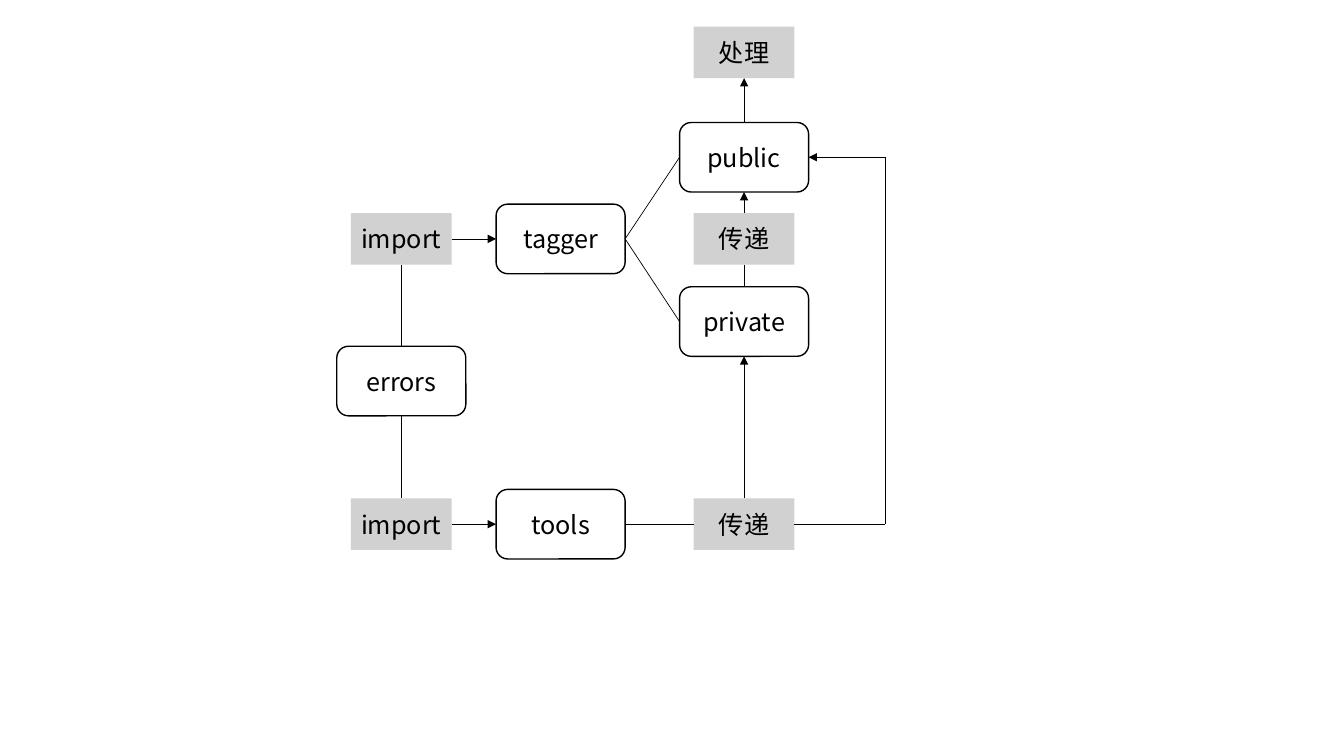
from lxml import etree
from pptx import Presentation
from pptx.dml.color import RGBColor
from pptx.enum import shapes, text
from pptx.oxml import ns
from pptx.util import Inches, Pt

BLACK = RGBColor(0x00, 0x00, 0x00)
WHITE = RGBColor(0xFF, 0xFF, 0xFF)
GRAY = RGBColor(0xA5, 0xA5, 0xA5)

TOP, LEFT, BOTTOM, RIGHT = range(4)
ERRORS_X, MODULE_X, MEMBER_X, BYPASS_X = 3.98, 5.56, 7.38, 8.78
TAGGER_Y, TOOLS_Y = 2.37, 5.2
PUBLIC_Y, PRIVATE_Y = 1.56, 3.19


class Diagram:
    font = {"name": "Noto Sans CJK SC", "size": Pt(18)}
    frame = {"word_wrap": False, "vertical_anchor": text.MSO_ANCHOR.MIDDLE}
    module_size = (1.28, 0.69)
    action_size = (1, 0.51)

    def __init__(self, slide):
        self.slide = slide

    def apply(self, target, values):
        for key, value in values.items():
            setattr(target, key, value)

    def box(self, kind, label, center, size, fill):
        (x, y), (width, height) = center, size
        box = self.slide.shapes.add_shape(
            kind, Inches(x - width / 2), Inches(y - height / 2),
            Inches(width), Inches(height))
        box.shadow.inherit = False
        box.fill.solid()
        box.fill.fore_color.rgb = fill
        self.apply(box.text_frame, self.frame)
        paragraph = box.text_frame.paragraphs[0]
        paragraph.alignment = text.PP_ALIGN.CENTER
        run = paragraph.add_run()
        run.text = label
        self.apply(run.font, self.font)
        run.font.color.rgb = BLACK
        east_asian = etree.SubElement(run.font._element, ns.qn("a:ea"))
        east_asian.set("typeface", self.font["name"])
        return box

    def module(self, label, x, y):
        box = self.box(shapes.MSO_SHAPE.ROUNDED_RECTANGLE, label, (x, y),
                       self.module_size, WHITE)
        box.line.color.rgb = BLACK
        box.line.width = Pt(1)
        return box

    def action(self, label, x, y):
        box = self.box(shapes.MSO_SHAPE.RECTANGLE, label, (x, y),
                       self.action_size, GRAY)
        box.line.fill.background()
        color = box._element.spPr.find(".//" + ns.qn("a:srgbClr"))
        etree.SubElement(color, ns.qn("a:alpha")).set("val", "50000")
        return box

    def link(self, start, end, arrow=False):
        line = self.slide.shapes.add_connector(
            shapes.MSO_CONNECTOR.STRAIGHT, 0, 0, 0, 0)
        for side, connect, (anchor, place) in (
                ("begin", line.begin_connect, start),
                ("end", line.end_connect, end)):
            if isinstance(anchor, (int, float)):
                self.apply(line, {f"{side}_x": Inches(anchor),
                                  f"{side}_y": Inches(place)})
            else:
                connect(anchor, place)
        line.line.color.rgb = BLACK
        line.line.width = Pt(0.5)
        properties = line._element.spPr
        if arrow:
            tail = etree.SubElement(line.line._get_or_add_ln(),
                                    ns.qn("a:tailEnd"))
            tail.set("type", "triangle")
        etree.SubElement(properties, ns.qn("a:effectLst"))


def main():
    deck = Presentation()
    deck.slide_width, deck.slide_height = Inches(13.33), Inches(7.5)
    diagram = Diagram(deck.slides.add_slide(deck.slide_layouts[6]))

    tagger = diagram.module("tagger", MODULE_X, TAGGER_Y)
    tools = diagram.module("tools", MODULE_X, TOOLS_Y)
    public = diagram.module("public", MEMBER_X, PUBLIC_Y)
    private = diagram.module("private", MEMBER_X, PRIVATE_Y)
    errors = diagram.module("errors", ERRORS_X, 3.78)

    tagger_import = diagram.action("import", ERRORS_X, TAGGER_Y)
    tools_import = diagram.action("import", ERRORS_X, TOOLS_Y)
    process = diagram.action("处理", MEMBER_X, 0.52)
    member_pass = diagram.action("传递", MEMBER_X, TAGGER_Y)
    tools_pass = diagram.action("传递", MEMBER_X, TOOLS_Y)

    lower_corner, upper_corner = (BYPASS_X, TOOLS_Y), (BYPASS_X, PUBLIC_Y)
    for start, end in (
            ((tagger, RIGHT), (public, LEFT)),
            ((tagger, RIGHT), (private, LEFT)),
            ((private, TOP), (member_pass, BOTTOM)),
            ((tools, RIGHT), (tools_pass, LEFT)),
            ((errors, TOP), (tagger_import, BOTTOM)),
            ((errors, BOTTOM), (tools_import, TOP)),
            ((tools_pass, RIGHT), lower_corner),
            (lower_corner, upper_corner)):
        diagram.link(start, end)
    for start, end in (
            ((member_pass, TOP), (public, BOTTOM)),
            ((tools_pass, TOP), (private, BOTTOM)),
            ((tools_import, RIGHT), (tools, LEFT)),
            ((tagger_import, RIGHT), (tagger, LEFT)),
            ((public, TOP), (process, BOTTOM)),
            (upper_corner, (public, RIGHT))):
        diagram.link(start, end, arrow=True)

    deck.save("out.pptx")


if __name__ == "__main__":
    main()
